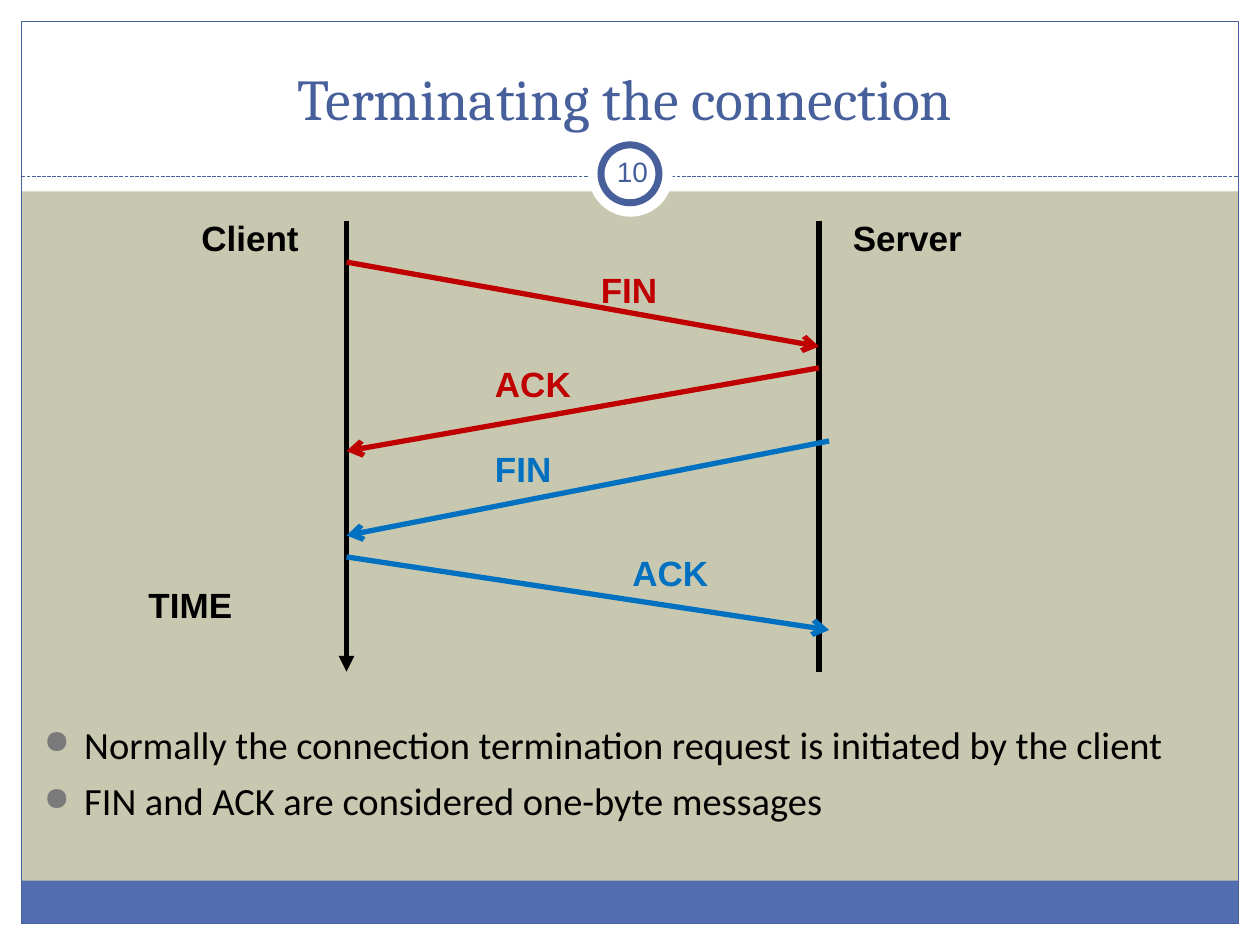
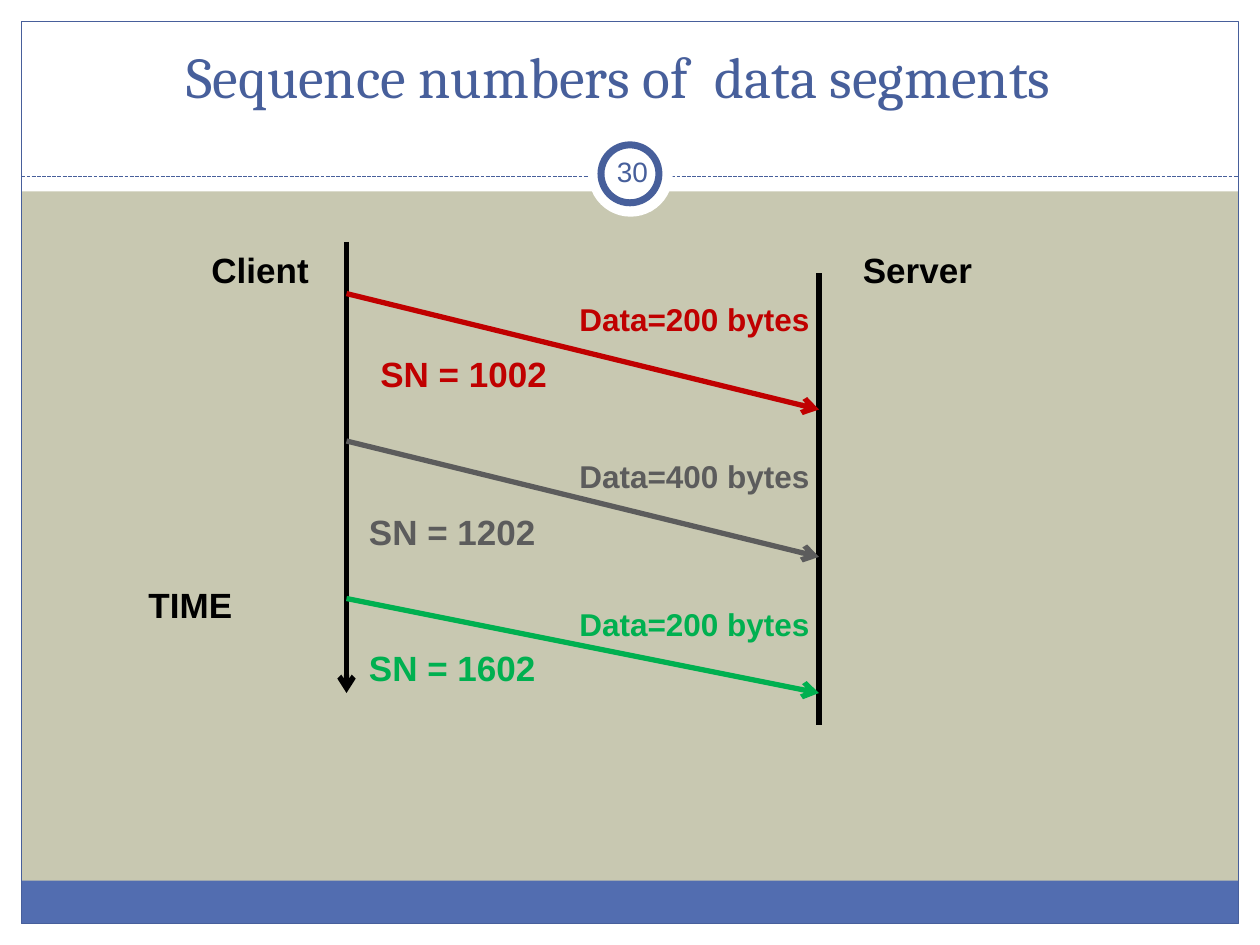
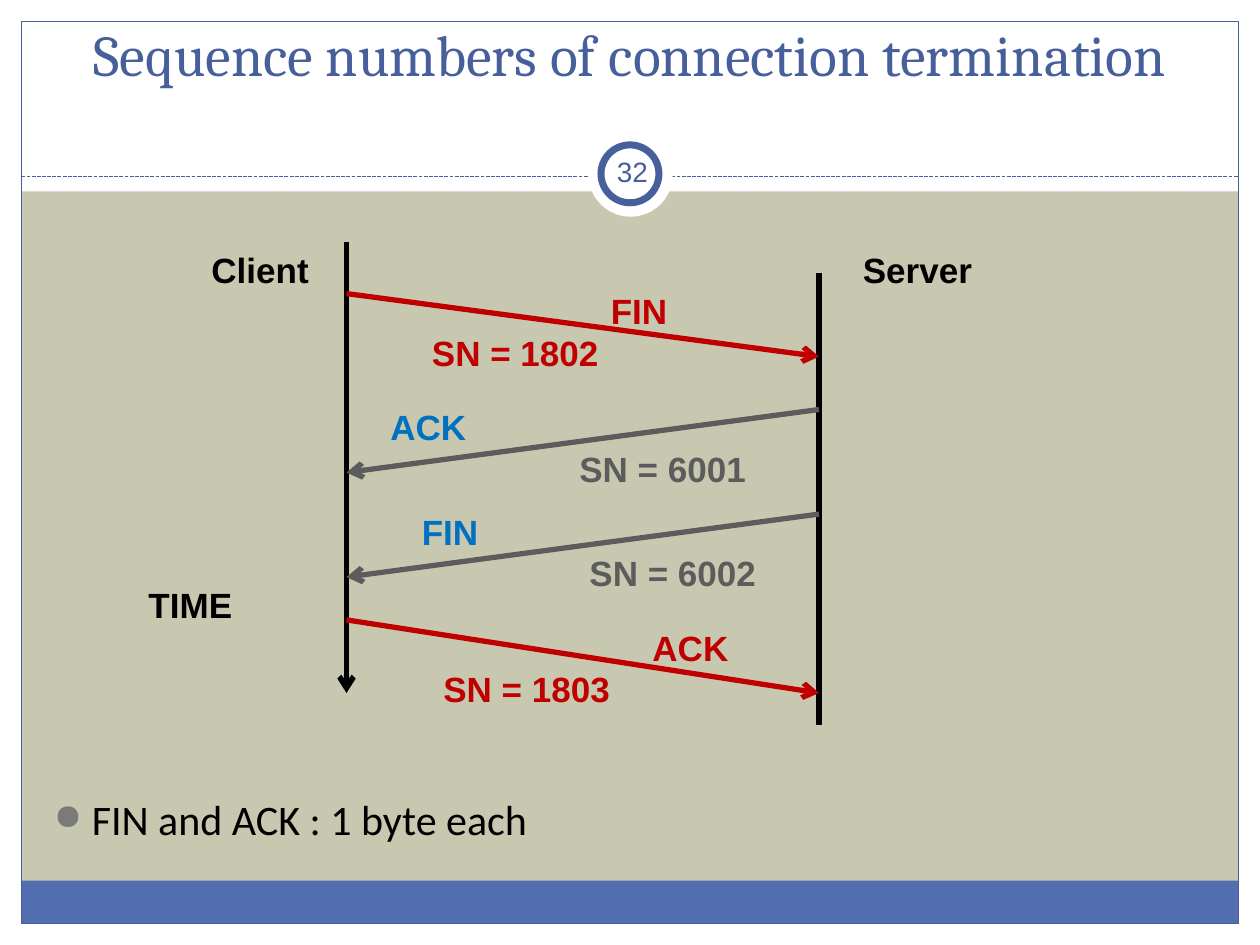
from dataclasses import dataclass

from lxml import etree
from pptx import Presentation
from pptx.dml.color import RGBColor
from pptx.enum.dml import MSO_LINE_DASH_STYLE as Dash
from pptx.enum.shapes import MSO_CONNECTOR as Connector, MSO_SHAPE as Preset
from pptx.enum.text import MSO_ANCHOR as Anchor, MSO_AUTO_SIZE as AutoSize, PP_ALIGN as Align
from pptx.oxml.ns import qn
from pptx.util import Inches, Pt

COLORS = {
    "background": "C8C8B1",
    "white": "FFFFFF",
    "black": "000000",
    "accent": "475F9B",
    "footer": "526DB0",
    "bullet": "7A7A7A",
    "red": "C00000",
    "blue": "0070C0",
    "gray": "5C5C5C",
    "green": "00B050",
}
TITLE_FONT, BODY_FONT, LABEL_FONT = "Cambria", "Calibri", "Arial"
SLIDE_WIDTH, SLIDE_HEIGHT = 10, 7.5
MARGIN = 0.17
RULE_TOP = 1.4
LABEL_WIDTHS = {"FIN": 0.83, "ACK": 0.83, "SN": 2, "Data": 2.17,
                "TIME": 0.92, "Client": 1, "Server": 1.17}


@dataclass
class Label:
    text: str
    left: float
    top: float
    color: str = ""
    size: int = 20


@dataclass
class Message:
    """An arrow between the lifelines; heights count from the diagram's top."""
    color: str
    start: float
    end: float
    labels: list
    to_server: bool = True
    overshoot: float = 0


def rgb(name):
    return RGBColor.from_string(COLORS[name])


def set_text(shape, lines, font, size, color, bold=False, align=Align.LEFT,
             anchor=Anchor.TOP, inset=None, auto_size=AutoSize.NONE,
             bullet_indent=0, space_before=0):
    frame = shape.text_frame
    frame.word_wrap = True
    frame.auto_size = auto_size
    frame.vertical_anchor = anchor
    if inset is not None:
        frame.margin_left = frame.margin_right = Inches(inset)
    frame.text = "\n".join(lines)
    for index, paragraph in enumerate(frame.paragraphs):
        paragraph.alignment = align
        paragraph.space_before = Pt(space_before if index else 0)
        if bullet_indent:
            add_bullet(paragraph, bullet_indent)
        for run in paragraph.runs:
            run.font.name = font
            run.font.size = Pt(size)
            run.font.bold = bold
            run.font.color.rgb = rgb(color)


def add_bullet(paragraph, indent):
    properties = paragraph._p.get_or_add_pPr()
    properties.set("marL", str(Inches(indent)))
    properties.set("indent", str(-Inches(indent)))
    bullet_color = etree.SubElement(properties, qn("a:buClr"))
    etree.SubElement(bullet_color, qn("a:srgbClr"), val=COLORS["bullet"])
    etree.SubElement(properties, qn("a:buSzPct"), val="85000")
    etree.SubElement(properties, qn("a:buChar"), char="●")


def add_text(slide, lines, left, top, width, height, **text_format):
    box = slide.shapes.add_textbox(Inches(left), Inches(top), Inches(width), Inches(height))
    set_text(box, lines, **text_format)


def add_label(slide, text, left, top, color="black", size=20):
    width = LABEL_WIDTHS[text.replace("=", " ").split()[0]]
    add_text(slide, [text], left, top, width, 0.44 if size == 20 else 0.4,
             font=LABEL_FONT, size=size, color=color, bold=True,
             auto_size=AutoSize.SHAPE_TO_FIT_TEXT)


def add_shape(slide, preset, left, top, width, height, fill=None, line=None, line_width=0.75):
    shape = slide.shapes.add_shape(preset, Inches(left), Inches(top), Inches(width), Inches(height))
    shape.shadow.inherit = False
    if fill:
        shape.fill.solid()
        shape.fill.fore_color.rgb = rgb(fill)
    else:
        shape.fill.background()
    if line:
        shape.line.color.rgb = rgb(line)
        shape.line.width = Pt(line_width)
    else:
        shape.line.fill.background()


def add_line(slide, start, end, color="black", width=3, arrowhead=None, dash=None):
    connector = slide.shapes.add_connector(
        Connector.STRAIGHT, *(Inches(value) for value in (*start, *end)))
    connector.line.color.rgb = rgb(color)
    connector.line.width = Pt(width)
    if dash:
        connector.line.dash_style = dash
    if arrowhead:
        etree.SubElement(connector.line._get_or_add_ln(), qn("a:tailEnd"), type=arrowhead)
    etree.SubElement(connector._element.spPr, qn("a:effectLst"))


def add_frame(slide):
    right, bottom = SLIDE_WIDTH - MARGIN, SLIDE_HEIGHT - MARGIN
    inner_width = SLIDE_WIDTH - 2 * MARGIN
    for edge in ((0, bottom, SLIDE_WIDTH, MARGIN), (0, 0, SLIDE_WIDTH, 1.52),
                 (0, 0, MARGIN, SLIDE_HEIGHT), (right, 0, MARGIN, SLIDE_HEIGHT)):
        add_shape(slide, Preset.RECTANGLE, *edge, fill="white")
    add_shape(slide, Preset.RECTANGLE, MARGIN, 6.99, inner_width, 0.34, fill="footer")
    add_shape(slide, Preset.RECTANGLE, MARGIN, MARGIN, inner_width, bottom - MARGIN, line="accent")
    add_line(slide, (MARGIN, RULE_TOP), (right, RULE_TOP), "accent", 0.75, dash=Dash.SQUARE_DOT)
    add_shape(slide, Preset.OVAL, 4.67, 1.05, 0.67, 0.67, fill="white")
    add_shape(slide, Preset.OVAL, 4.77, 1.15, 0.46, 0.46, fill="white", line="accent", line_width=4)


def move_frame_to_layout(slide, layout):
    """Hand the slide's frame to its layout, so that every slide shows it."""
    layout.background.fill.solid()
    layout.background.fill.fore_color.rgb = rgb("background")
    tree = layout.shapes._spTree
    for shape in list(slide.shapes):
        if not shape.is_placeholder:
            tree.append(shape._element)
    for number, properties in enumerate(tree.xpath(".//p:cNvPr"), start=1):
        properties.set("id", str(number))


def set_title(slide, text, left, top, width, height):
    title = slide.shapes.title
    title.left, title.top = Inches(left), Inches(top)
    title.width, title.height = Inches(width), Inches(height)
    set_text(title, [text], TITLE_FONT, 33, "accent", align=Align.CENTER, anchor=Anchor.BOTTOM)


def add_page_number(slide, number):
    add_text(slide, [str(number)], 4.77, 1.12, 0.5, 0.48, font=LABEL_FONT, size=16,
             color="accent", align=Align.CENTER, anchor=Anchor.MIDDLE, inset=0.05)


def add_sequence_diagram(slide, messages, top, left=2.75, width=3.75, height=3.58,
                         server_drop=0.25, name_gap=0.25, name_top=0, time_top=2.66,
                         time_arrowhead="arrow"):
    right = left + width
    add_line(slide, (left, top), (left, top + height), arrowhead=time_arrowhead)
    add_line(slide, (right, top + server_drop), (right, top + server_drop + height))
    add_label(slide, "Client", left - 1.42 + name_gap, top + name_top)
    add_label(slide, "Server", right + name_gap, top + name_top)
    add_label(slide, "TIME", left - 1.67, top + time_top)
    for message in messages:
        columns = [left, right + message.overshoot]
        if not message.to_server:
            columns.reverse()
        add_line(slide, (columns[0], top + message.start), (columns[1], top + message.end),
                 message.color, arrowhead="arrow")
        for label in message.labels:
            add_label(slide, label.text, left + label.left, top + label.top,
                      label.color or message.color, label.size)


def add_bullets(slide, lines, left, top, height, size, indent):
    add_text(slide, lines, left, top, 9.25, height, font=BODY_FONT, size=size,
             color="black", bullet_indent=indent, space_before=6)


def fill_termination_slide(slide):
    set_title(slide, "Terminating the connection", 0.67, 0.25, 8.58, 0.85)
    add_bullets(slide, ["Normally the connection termination request is initiated by the client",
                        "FIN and ACK are considered one-byte messages"],
                0.25, 5.67, 1.25, 22, 0.32)
    messages = [
        Message("red", 0.33, 1, [Label("FIN", 1.92, 0.33)]),
        Message("red", 1.17, 1.83, [Label("ACK", 1.08, 1.08)], to_server=False),
        Message("blue", 1.75, 2.5, [Label("FIN", 1.08, 1.75)], to_server=False, overshoot=0.08),
        Message("blue", 2.67, 3.25, [Label("ACK", 2.17, 2.58)], overshoot=0.08),
    ]
    add_sequence_diagram(slide, messages, 1.75, server_drop=0, name_gap=0.17, name_top=-0.08,
                         time_top=2.83, time_arrowhead="triangle")
    add_page_number(slide, 10)


def fill_data_slide(slide):
    set_title(slide, "Sequence numbers of  data segments", 0.62, 0.42, 8.58, 0.5)
    messages = [
        Message("red", 0.41, 1.33, [Label("SN = 1002", 0.17, 0.83),
                                    Label("Data=200 bytes", 1.75, 0.41, size=18)]),
        Message("gray", 1.58, 2.5, [Label("SN = 1202", 0.08, 2.08),
                                    Label("Data=400 bytes", 1.75, 1.66, size=18)]),
        Message("green", 2.83, 3.58, [Label("SN = 1602", 0.08, 3.16),
                                      Label("Data=200 bytes", 1.75, 2.83, size=18)]),
    ]
    add_sequence_diagram(slide, messages, 1.92)
    add_page_number(slide, 30)


def fill_termination_numbers_slide(slide):
    set_title(slide, "Sequence numbers of connection termination", 0.25, 0.33, 9.5, 0.42)
    add_bullets(slide, ["FIN and ACK : 1 byte each"], 0.33, 6.25, 0.75, 24, 0.3)
    messages = [
        Message("red", 0.41, 0.91, [Label("FIN", 2, 0.33), Label("SN = 1802", 0.58, 0.66)]),
        Message("gray", 1.33, 1.83, [Label("ACK", 0.25, 1.25, "blue"),
                                     Label("SN = 6001", 1.75, 1.58)], to_server=False),
        Message("gray", 2.16, 2.66, [Label("FIN", 0.5, 2.08, "blue"),
                                     Label("SN = 6002", 1.83, 2.41)], to_server=False),
        Message("red", 3, 3.58, [Label("ACK", 2.33, 3), Label("SN = 1803", 0.67, 3.33)]),
    ]
    add_sequence_diagram(slide, messages, 1.92)
    add_page_number(slide, 32)


def main():
    presentation = Presentation()
    presentation.slide_width = Inches(SLIDE_WIDTH)
    presentation.slide_height = Inches(SLIDE_HEIGHT)
    layout = presentation.slide_layouts[5]
    slides = [presentation.slides.add_slide(layout) for _ in range(3)]
    add_frame(slides[0])
    move_frame_to_layout(slides[0], layout)
    fill_termination_slide(slides[0])
    fill_data_slide(slides[1])
    fill_termination_numbers_slide(slides[2])
    presentation.save("out.pptx")


if __name__ == "__main__":
    main()
